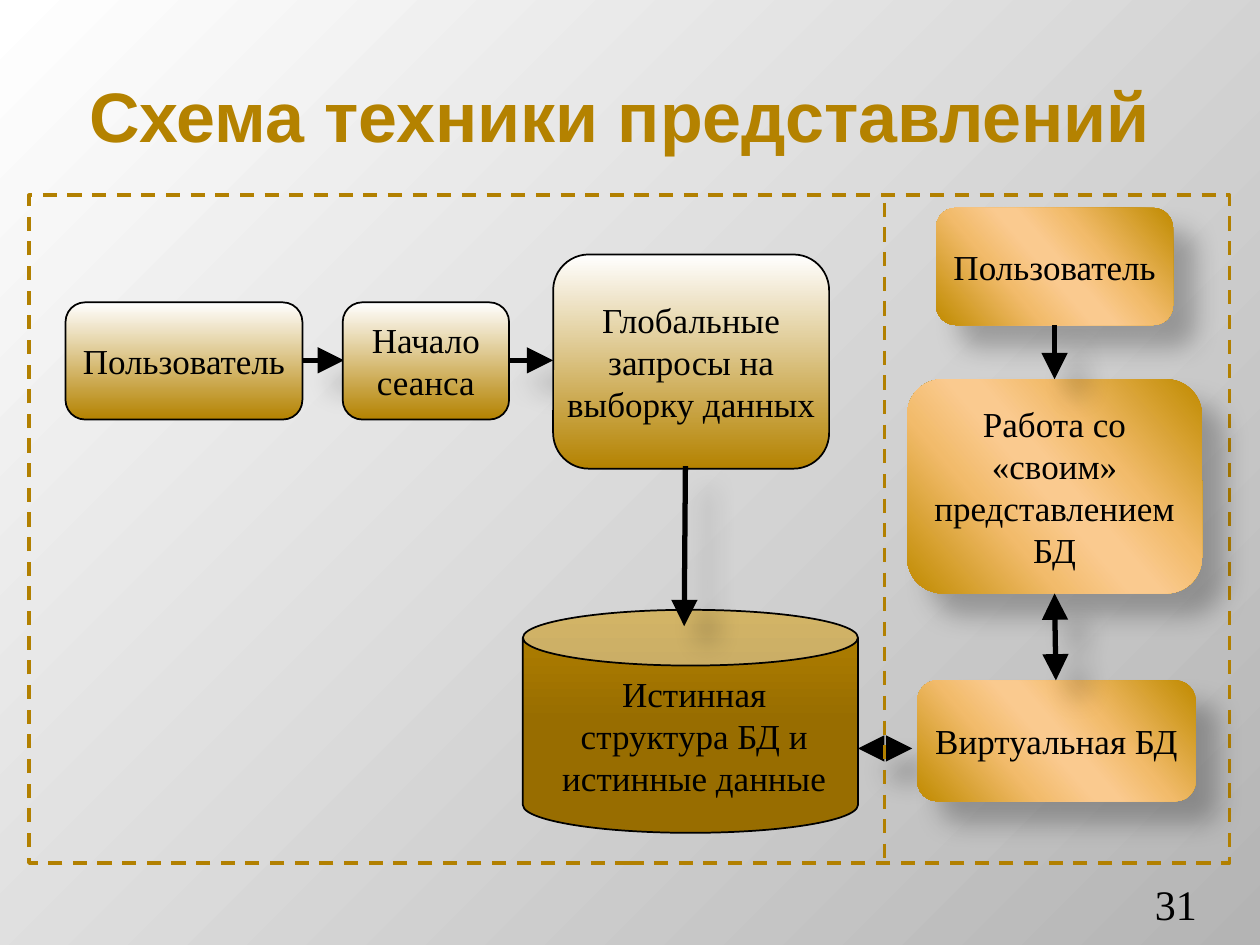
from lxml import etree
from pptx import Presentation
from pptx.dml.color import RGBColor
from pptx.enum.dml import MSO_LINE_DASH_STYLE as Dash
from pptx.enum.shapes import MSO_CONNECTOR as Connector, MSO_SHAPE as Shape
from pptx.enum.text import MSO_ANCHOR as Anchor, PP_ALIGN as Align
from pptx.oxml.ns import qn
from pptx.util import Inches, Pt

BLACK = RGBColor(0x00, 0x00, 0x00)
GOLD = RGBColor(0xB4, 0x82, 0x00)
DASH_GOLD = RGBColor(0xB2, 0x80, 0x00)
WHITE = RGBColor(0xFF, 0xFF, 0xFF)
GREY = RGBColor(0xB4, 0xB4, 0xB4)
DARK_GOLD = RGBColor(0x98, 0x6D, 0x00)
OCHRE = RGBColor(0xC0, 0x8B, 0x00)
ORANGE = RGBColor(0xF2, 0xBB, 0x6B)
PEACH = RGBColor(0xFA, 0xCA, 0x8F)

# Gradient stops (percent, colour) and angle in degrees
GLOBAL_FILL = [(0, GOLD), (100, WHITE)], 270
STORE_FILL = [(50, DARK_GOLD), (100, GOLD)], 270
VIEW_FILL = [(0, OCHRE), (33, ORANGE), (47, PEACH), (53, PEACH), (68, ORANGE), (100, OCHRE)], 139

SERIF = "Times New Roman"
SIDE_INSETS = (0.02, 0.05, 0.02, 0.05)


def add_node(parent, tag, **attributes):
    node = etree.SubElement(parent, qn(tag))
    for name, value in attributes.items():
        node.set(name, str(value))
    return node


def set_gradient(fill, parent, stops, angle=None):
    """Fill with a linear gradient, or one spreading from the top left without an angle."""
    fill.background()
    blank = parent.find(qn("a:noFill"))
    gradient = etree.Element(qn("a:gradFill"), rotWithShape="1")
    stop_list = add_node(gradient, "a:gsLst")
    for percent, color in stops:
        stop = add_node(stop_list, "a:gs", pos=percent * 1000)
        add_node(stop, "a:srgbClr", val=color)
    if angle is None:
        path_node = add_node(gradient, "a:path", path="circle")
        add_node(path_node, "a:fillToRect", r=100000, b=100000)
    else:
        add_node(gradient, "a:lin", ang=angle * 60000, scaled=1)
    parent.replace(blank, gradient)


def add_shadow(effects):
    shadow = add_node(effects, "a:outerShdw", blurRad=Pt(15), dist=Pt(18),
                      dir=45 * 60000, algn="ctr", rotWithShape=0)
    color = add_node(shadow, "a:srgbClr", val=BLACK)
    add_node(color, "a:alpha", val=26000)


def style_line(line, color, width, dashed=False):
    line.color.rgb = color
    line.width = Pt(width)
    if dashed:
        line.dash_style = Dash.DASH


def write_text(shape, text, size=20, font=SERIF, color=BLACK, bold=False, align=Align.CENTER,
               anchor=Anchor.MIDDLE, insets=SIDE_INSETS, indent=0):
    frame = shape.text_frame
    frame.word_wrap = True
    frame.vertical_anchor = anchor
    (frame.margin_left, frame.margin_top,
     frame.margin_right, frame.margin_bottom) = map(Inches, insets)
    frame.text = text
    for para in frame.paragraphs:
        para.alignment = align
        if indent:
            properties = para._p.get_or_add_pPr()
            properties.set("marL", str(Inches(indent)))
            properties.set("indent", "0")
        for span in para.runs:
            span.font.size = Pt(size)
            span.font.name = font
            span.font.bold = bold
            span.font.color.rgb = color


def add_block(page, place, text, gradient, kind=Shape.ROUNDED_RECTANGLE, shadow=False, **style):
    block = page.shapes.add_shape(kind, *map(Inches, place))
    block.shadow.inherit = False
    set_gradient(block.fill, block._element.spPr, *gradient)
    if shadow:
        block.line.fill.background()
        add_shadow(block._element.spPr.find(qn("a:effectLst")))
    else:
        style_line(block.line, BLACK, 1)
    write_text(block, text, **style)


def add_line(page, start, end):
    line = page.shapes.add_connector(Connector.STRAIGHT, *map(Inches, start + end))
    effects = add_node(line._element.spPr, "a:effectLst")
    return line, effects


def add_arrow(page, start, end, both_ways=False):
    arrow, effects = add_line(page, start, end)
    style_line(arrow.line, BLACK, 3)
    outline = arrow.line._get_or_add_ln()
    for tag in ("a:headEnd", "a:tailEnd") if both_ways else ("a:tailEnd",):
        add_node(outline, tag, type="triangle", w="lg", len="lg")
    add_shadow(effects)


def add_label(page, place, text, **style):
    box = page.shapes.add_textbox(*map(Inches, place))
    write_text(box, text, anchor=Anchor.BOTTOM, **style)


def add_frame(page):
    frame = page.shapes.add_shape(Shape.RECTANGLE, *map(Inches, (0.23, 1.55, 9.53, 5.3)))
    frame.shadow.inherit = False
    frame.fill.background()
    style_line(frame.line, DASH_GOLD, 2, dashed=True)


def add_global_scheme(page):
    add_arrow(page, (4, 2.86), (4.39, 2.86))
    add_arrow(page, (2.39, 2.86), (2.73, 2.86))
    add_arrow(page, (6.81, 5.94), (7.24, 5.94), both_ways=True)
    add_block(page, (4.15, 4.84, 2.66, 1.77), "Истинная структура БД и истинные данные",
              STORE_FILL, Shape.CAN, insets=(0.02, 0.05, 0.16, 0.05), indent=0.2)
    add_block(page, (4.39, 2.02, 2.19, 1.7), "Глобальные\nзапросы на выборку данных ",
              GLOBAL_FILL, insets=(0.02, 0.01, 0.02, 0.01))
    add_block(page, (0.52, 2.4, 1.88, 0.93), "Пользователь", GLOBAL_FILL,
              insets=(0, 0.05, 0, 0.05))
    add_block(page, (2.72, 2.4, 1.32, 0.93), "Начало сеанса", GLOBAL_FILL)


def add_view_scheme(page):
    for place, text in (
        ((7.28, 5.4, 2.21, 0.96), "Виртуальная БД"),
        ((7.2, 3.01, 2.34, 1.7), "Работа со «своим» представлением БД"),
        ((7.43, 1.65, 1.88, 0.93), "Пользователь"),
    ):
        add_block(page, place, text, VIEW_FILL, shadow=True)


def main():
    deck = Presentation()
    deck.slide_width, deck.slide_height = Inches(10), Inches(7.5)
    page = deck.slides.add_slide(deck.slide_layouts[6])
    fill = page.background.fill
    set_gradient(fill, page._element.find(".//" + qn("p:bgPr")), [(0, WHITE), (100, GREY)])

    add_frame(page)
    add_global_scheme(page)
    add_view_scheme(page)
    add_label(page, (0.23, 0.67, 9.53, 0.57), "Схема техники представлений ", size=40,
              font="Arial", color=GOLD, bold=True, insets=(0.05, 0.05, 0.05, 0))
    add_label(page, (8.67, 7.02, 0.83, 0.4), "31", size=24, align=Align.RIGHT,
              insets=(0, 0.05, 0, 0.05))
    add_arrow(page, (8.37, 4.71), (8.38, 5.4), both_ways=True)
    add_arrow(page, (5.44, 3.7), (5.43, 4.97))
    add_arrow(page, (8.37, 2.58), (8.37, 3.01))
    divider, _ = add_line(page, (7.02, 1.61), (7.02, 6.85))
    style_line(divider.line, DASH_GOLD, 2, dashed=True)

    deck.save("out.pptx")


if __name__ == "__main__":
    main()
